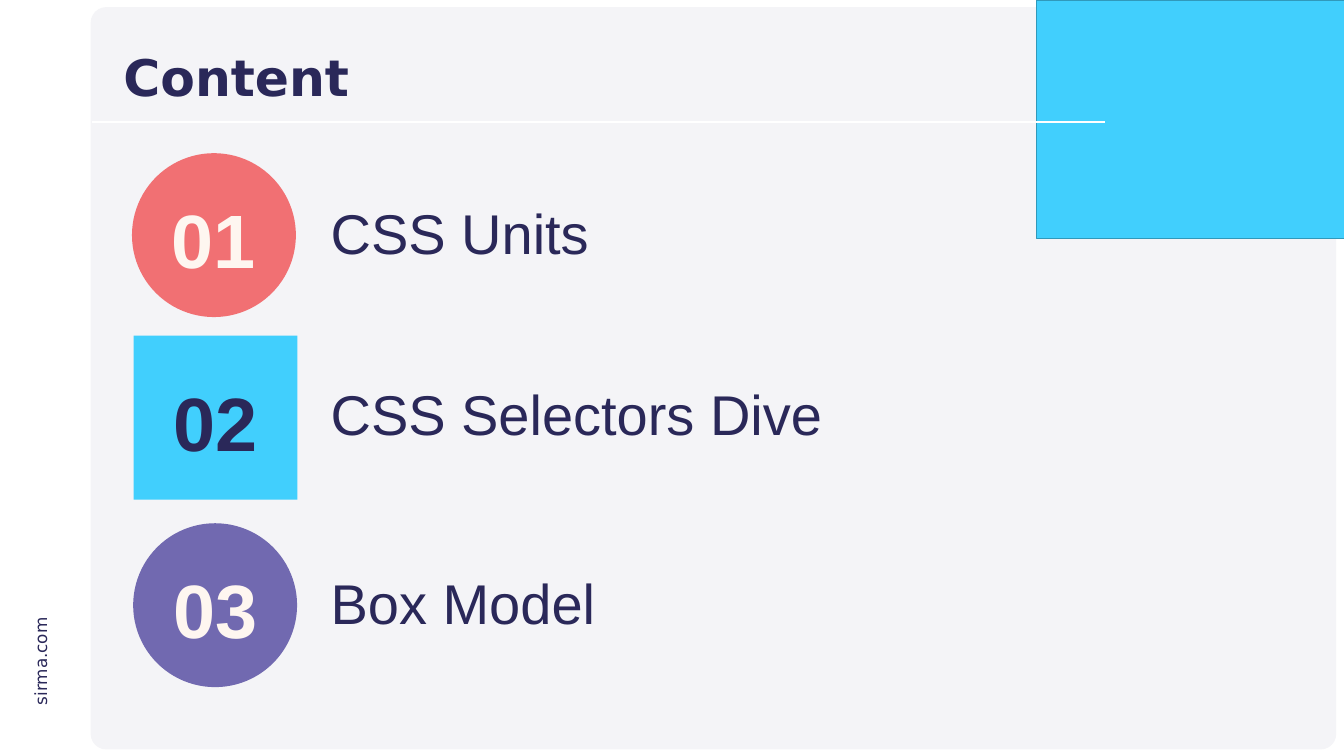
from lxml import etree
from pptx import Presentation
from pptx.dml.color import RGBColor
from pptx.enum.shapes import MSO_CONNECTOR, MSO_SHAPE
from pptx.enum.text import MSO_ANCHOR, MSO_AUTO_SIZE, PP_ALIGN
from pptx.oxml.ns import qn
from pptx.util import Cm, Pt

NAVY, CYAN, CREAM, PANEL = "2A2859", "41CFFD", "FEF6F0", "F4F4F7"
CORAL, PURPLE, WHITE, EDGE = "F17073", "7169B0", "FFFFFF", "3099BB"

SITE = {"size": Pt(24), "name": "DejaVu Sans"}
TITLE = {"size": Pt(72), "name": "DejaVu Sans", "bold": True}
NUMBER = {"size": Pt(108), "name": "Arial", "bold": True}
LABEL = {"size": Pt(80), "name": "Arial"}


def rgb(value):
    return RGBColor.from_string(value)


def add_block(s, kind, box, fill, line=None):
    sp = s.shapes.add_shape(kind, *map(Cm, box))
    sp.shadow.inherit = False
    sp.fill.solid()
    sp.fill.fore_color.rgb = rgb(fill)
    if line:
        sp.line.color.rgb = rgb(line)
        sp.line.width = Pt(1)
    else:
        sp.line.fill.background()
    return sp


def add_text(s, box, text, font, color, align=PP_ALIGN.LEFT,
             anchor=MSO_ANCHOR.TOP, wrap=True):
    sp = s.shapes.add_textbox(*map(Cm, box))
    tf = sp.text_frame
    frame = {"word_wrap": wrap, "vertical_anchor": anchor,
             "auto_size": MSO_AUTO_SIZE.NONE}
    for key, value in frame.items():
        setattr(tf, key, value)
    p = tf.paragraphs[0]
    p.alignment = align
    r = p.add_run()
    r.text = text
    for key, value in font.items():
        setattr(r.font, key, value)
    r.font.color.rgb = rgb(color)
    return sp


def add_background(s, left, top, width, height):
    # Rounded panel
    panel = add_block(s, MSO_SHAPE.ROUNDED_RECTANGLE,
                      (left + 4.57, top + 0.36, width - 4.96, height - 0.69), PANEL)
    panel.adjustments[0] = 0.021
    # Site address, reading upwards
    site = add_text(s, (left - 0.46, top + 32.66, 5, 1.27), "sirma.com",
                    SITE, NAVY, wrap=False)
    site.rotation = 270
    # Corner block
    add_block(s, MSO_SHAPE.RECTANGLE,
              (left + width - 15.5, top, 15.5, 12.01), CYAN, EDGE)


def add_header(s, left, top, width, height):
    # Band and rule
    add_block(s, MSO_SHAPE.RECTANGLE, (left, top, width - 4.47, height), PANEL)
    rule_y = Cm(top + 4.82)
    rule = s.shapes.add_connector(MSO_CONNECTOR.STRAIGHT, Cm(left), rule_y,
                                  Cm(left + width), rule_y)
    rule.line.color.rgb = rgb(WHITE)
    rule.line.width = Pt(3)
    etree.SubElement(rule._element.spPr, qn("a:effectLst"))
    # Title
    title = add_text(s, (left + 1.32, top + 0.68, width - 1.34, 4.01), "Content",
                     TITLE, NAVY, anchor=MSO_ANCHOR.MIDDLE)
    title.text_frame.paragraphs[0].line_spacing = 0.9


def add_item(s, left, top, size, kind, fill, number, color, label, label_dy):
    # Marker with its number centred over it
    add_block(s, kind, (left, top, size, size), fill)
    add_text(s, (left - 0.6, top + 1.82, size + 1.2, 4.88), number, NUMBER, color,
             PP_ALIGN.CENTER, MSO_ANCHOR.BOTTOM)
    # Label
    add_text(s, (16.41, top + label_dy, 39.3, 3.68), label, LABEL, NAVY)


def main():
    prs = Presentation()
    width, height = 67.72, 38.1
    prs.slide_width, prs.slide_height = Cm(width), Cm(height)
    s = prs.slides.add_slide(prs.slide_layouts[6])

    add_background(s, 0, 0, width, height)
    add_header(s, 4.65, 1.35, 51.05, 6.05)

    items = [
        (6.65, 7.72, MSO_SHAPE.OVAL, CORAL, CREAM, "CSS Units", 2.16),
        (6.73, 16.92, MSO_SHAPE.RECTANGLE, CYAN, NAVY, "CSS Selectors Dive", 2.08),
        (6.71, 26.37, MSO_SHAPE.OVAL, PURPLE, CREAM, "Box Model", 2.15),
    ]
    for i, (left, top, kind, fill, color, label, label_dy) in enumerate(items, 1):
        add_item(s, left, top, 8.26, kind, fill, f"{i:02}", color, label, label_dy)

    prs.save("out.pptx")


if __name__ == "__main__":
    main()
